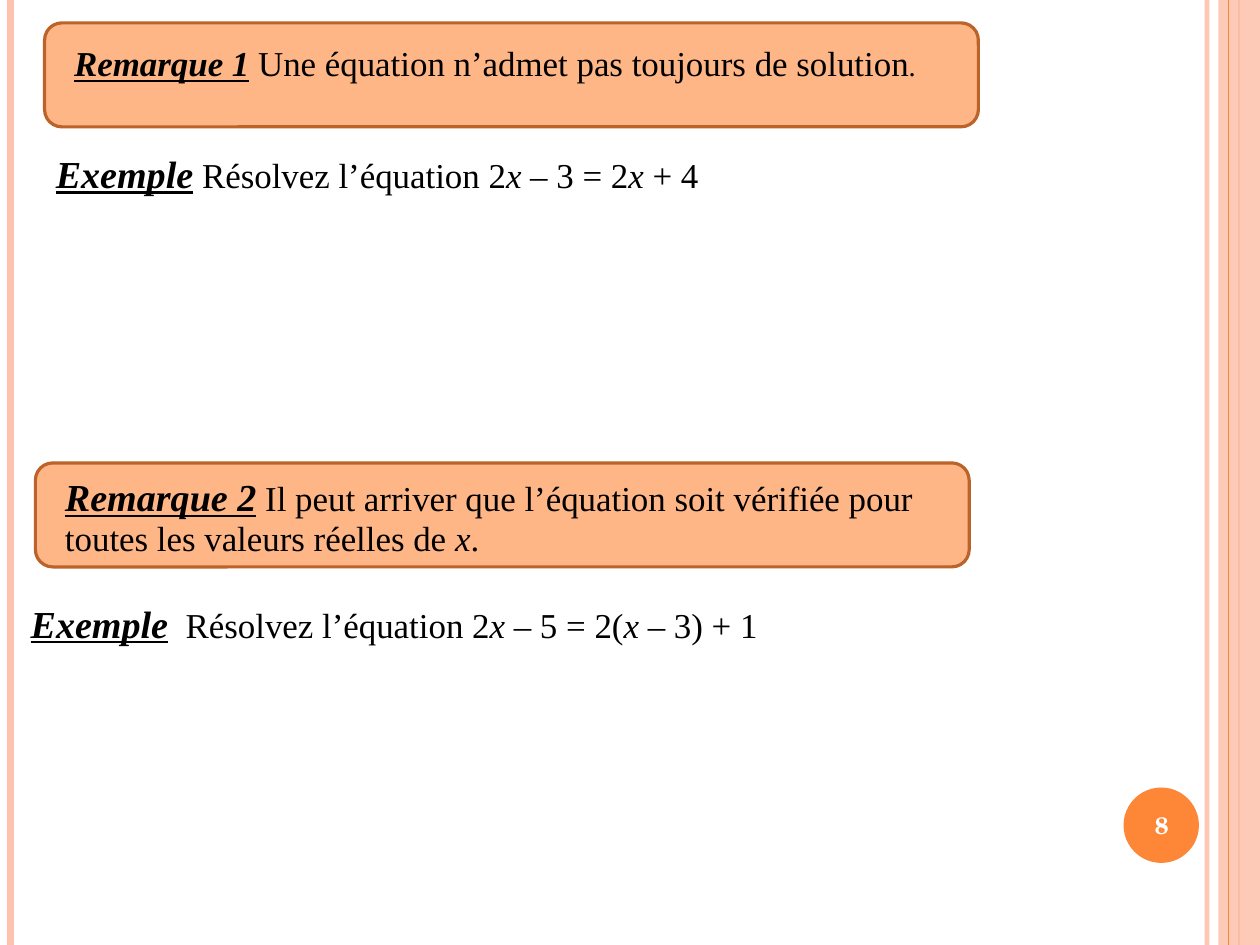
from lxml.etree import SubElement
from pptx import Presentation
from pptx.dml.color import RGBColor
from pptx.enum.shapes import MSO_CONNECTOR, MSO_SHAPE
from pptx.enum.text import MSO_ANCHOR, PP_ALIGN
from pptx.oxml.ns import qn
from pptx.util import Inches, Pt

COLORS = {
    "band": "FEC3AE",
    "accent": "FE8637",
    "panel": "FEB687",
    "border": "BC6329",
    "text": "000000",
    "white": "FFFFFF",
}
WIDTH, HEIGHT = 28 / 2.54, 21 / 2.54
BODY_FONT, NUMBER_FONT = "Times New Roman", "TeX Gyre Schola"


def color(name):
    return RGBColor.from_string(COLORS[name])


def set_opacity(shape, percent):
    """Make the first solid colour of a shape translucent."""
    solid = next(shape._element.spPr.iter(qn("a:srgbClr")))
    SubElement(solid, qn("a:alpha"), val=str(percent * 1000))


class LessonSlide:
    def __init__(self, presentation):
        self.shapes = presentation.slides.add_slide(presentation.slide_layouts[6]).shapes

    def rule(self, x, weight, name, opacity=100):
        """Draw a vertical line over the full slide height."""
        rule = self.shapes.add_connector(
            MSO_CONNECTOR.STRAIGHT, Inches(x), 0, Inches(x), Inches(HEIGHT))
        rule.line.color.rgb = color(name)
        rule.line.width = Pt(weight)
        if opacity < 100:
            set_opacity(rule, opacity)
        SubElement(rule._element.spPr, qn("a:effectLst"))

    def block(self, preset, box, fill, border=None, opacity=100):
        block = self.shapes.add_shape(preset, *map(Inches, box))
        block.shadow.inherit = False
        block.fill.solid()
        block.fill.fore_color.rgb = color(fill)
        if opacity < 100:
            set_opacity(block, opacity)
        if border:
            block.line.color.rgb = color(border)
            block.line.width = Pt(2)
        else:
            block.line.fill.background()

    def text_frame(self, box):
        frame = self.shapes.add_textbox(*map(Inches, box)).text_frame
        frame.word_wrap = True
        return frame

    def slide_number(self, box, number):
        frame = self.text_frame(box)
        frame.vertical_anchor = MSO_ANCHOR.MIDDLE
        frame.text = number
        paragraph = frame.paragraphs[0]
        paragraph.alignment = PP_ALIGN.CENTER
        font = paragraph.runs[0].font
        font.name, font.size, font.bold = NUMBER_FONT, Pt(15), True
        font.color.rgb = color("white")

    def statement(self, box, heading, heading_size, parts, spacing=0.93):
        """Write an underlined heading, then parts that alternate upright and italic."""
        paragraph = self.text_frame(box).paragraphs[0]
        paragraph.line_spacing = spacing
        for index, part in enumerate([heading, *parts]):
            is_heading = index == 0
            run = paragraph.add_run()
            run.text = part
            font = run.font
            font.name = BODY_FONT
            font.size = Pt(heading_size if is_heading else 22)
            font.bold = font.underline = is_heading
            font.italic = index % 2 == 0
            font.color.rgb = color("text")
        return paragraph


def main():
    presentation = Presentation()
    presentation.slide_width = Inches(WIDTH)
    presentation.slide_height = Inches(HEIGHT)
    lesson = LessonSlide(presentation)

    lesson.rule(10.56, 3, "band", opacity=93)
    lesson.rule(0.09, 4.5, "band")
    lesson.rule(10.84, 1.5, "accent")
    lesson.block(MSO_SHAPE.RECTANGLE, (10.66, 0, 0.37, HEIGHT), "band", opacity=87)
    lesson.rule(10.75, 0.75, "accent")
    lesson.block(MSO_SHAPE.OVAL, (9.83, 6.89, 0.66, 0.66), "accent")
    lesson.slide_number((9.8, 6.9, 0.73, 0.63), "8")

    for left, top in ((0.39, 0.2), (0.31, 4.05)):
        lesson.block(MSO_SHAPE.ROUNDED_RECTANGLE, (left, top, 8.17, 0.91), "panel", "border")

    remark = lesson.statement(
        (0.55, 0.35, 7.75, 0.45), "Remarque 1", 22,
        [" Une équation n’admet pas toujours de solution", "."])
    full_stop = remark.runs[-1].font
    full_stop.size, full_stop.italic = Pt(18), False
    lesson.statement(
        (0.39, 1.3, 8.03, 0.48), "Exemple", 24,
        [" Résolvez l’équation 2", "x", " ‒ 3 = 2", "x ", "+ 4"])
    lesson.statement(
        (0.47, 4.13, 7.85, 0.82), "Remarque 2", 24,
        [" Il peut arriver que l’équation soit vérifiée pour toutes les valeurs réelles de ",
         "x", "."])
    lesson.statement(
        (0.17, 5.2, 9.4, 0.48), "Exemple", 24,
        ["  Résolvez l’équation 2", "x", " ‒ 5 = 2(", "x ", "‒ 3) + 1"], spacing=1.0)

    presentation.save("out.pptx")


if __name__ == "__main__":
    main()
